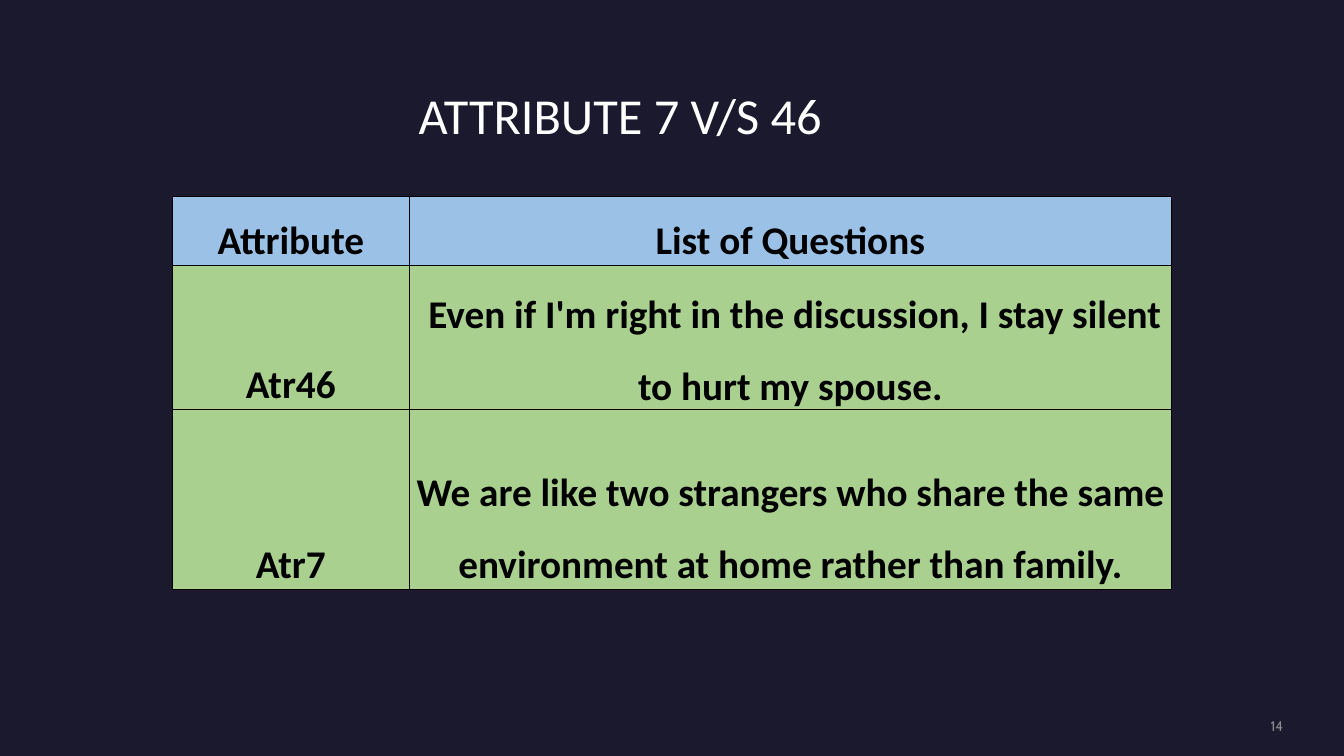
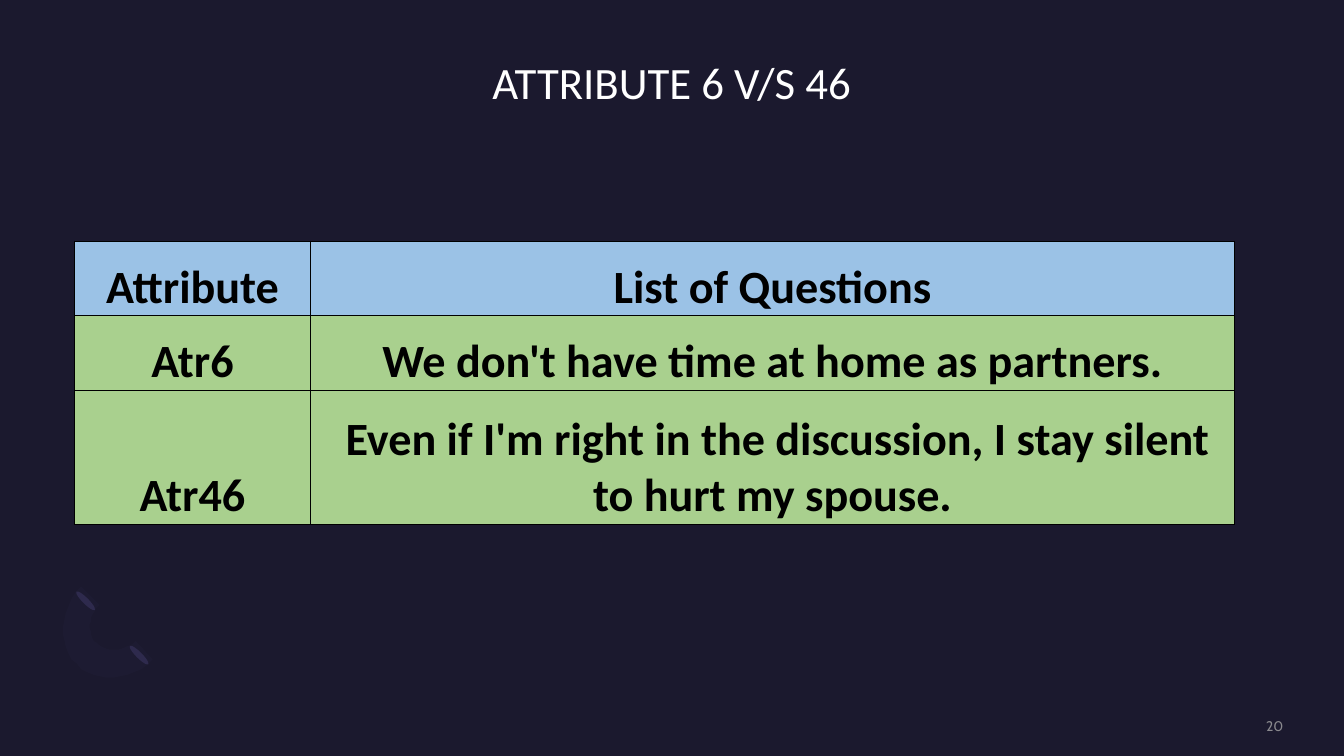
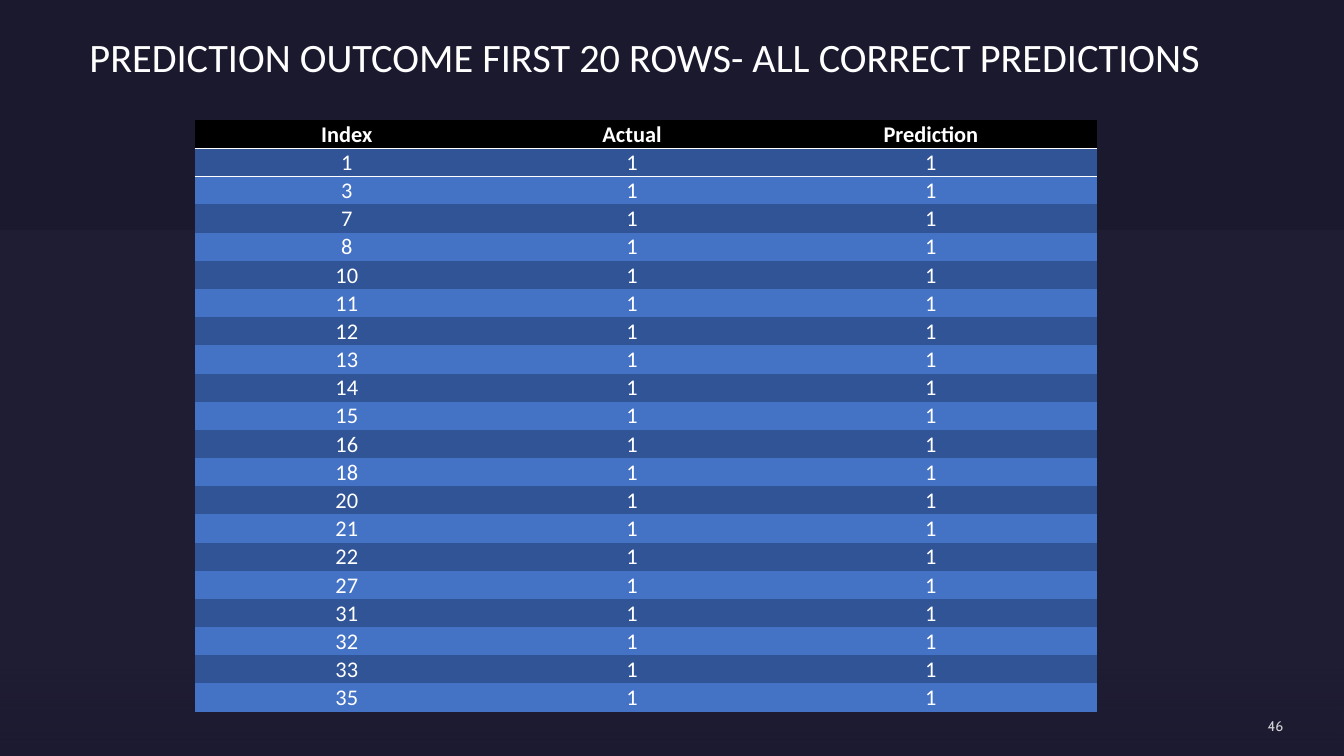
"""Builds three slides that compare survey attributes and list predictions."""
from lxml.etree import SubElement
from pptx import Presentation
from pptx.dml.color import RGBColor
from pptx.enum.shapes import MSO_SHAPE
from pptx.enum.text import MSO_ANCHOR, PP_ALIGN
from pptx.oxml.ns import qn
from pptx.util import Pt

WIDTH, HEIGHT = 960, 540
BACKGROUND, WHITE, BLACK, GREY = "1B192E", "FFFFFF", "000000", "A6A6A6"
LILAC, PETAL = "7771B2", "2C284A"
HEADER_BLUE, ROW_GREEN = "9BC2E6", "A9D08E"
DARK_BLUE, MID_BLUE = "305496", "4472C4"
BODY_FONT, NUMBER_FONT = "Calibri", "Cabin"
PLAIN_TABLE = "{2D5ABB26-0587-4C30-8999-92F81FD0307C}"
ALL_SIDES = ("L", "R", "T", "B")
HEADINGS = ["Attribute", "List of Questions"]
SILENT = " Even if I'm right in the discussion, I stay silent to hurt my spouse."
STRANGERS = ("We are like two strangers who share the same environment "
             "at home rather than family.")
INDEXES = [1, 3, 7, 8, 10, 11, 12, 13, 14, 15, 16, 18, 20, 21, 22, 27, 31, 32, 33, 35]


def color(code):
    return RGBColor.from_string(code)


def set_alpha(element, *percents):
    for tint, percent in zip(element.iter(qn("a:srgbClr")), percents):
        SubElement(tint, qn("a:alpha")).set("val", str(percent * 1000))


def style_text(frame, text, size, code, align, font=BODY_FONT, bold=False, spacing=None):
    frame.text = text
    para = frame.paragraphs[0]
    para.alignment = align
    para.line_spacing = spacing
    for span in para.runs:
        span.font.size = Pt(size)
        span.font.name = font
        span.font.bold = bold
        span.font.color.rgb = color(code)


def add_text(page, left, top, width, height, anchor):
    box = page.shapes.add_textbox(Pt(left), Pt(top), Pt(width), Pt(height))
    frame = box.text_frame
    frame.word_wrap = True
    frame.vertical_anchor = anchor
    frame.margin_left = frame.margin_right = frame.margin_top = frame.margin_bottom = 0
    return frame


def add_title(page, text, size, place, anchor=MSO_ANCHOR.MIDDLE):
    style_text(add_text(page, *place, anchor), text, size, WHITE,
               PP_ALIGN.CENTER, spacing=0.9)


def add_page_number(page, number, code=GREY):
    frame = add_text(page, 783.4, 512.6, 133.2, 12.2, MSO_ANCHOR.MIDDLE)
    style_text(frame, str(number), 10, code, PP_ALIGN.RIGHT, NUMBER_FONT)
    set_alpha(frame.paragraphs[0].runs[0].font._element, 80)


def finish_shape(shape, code, alpha=100):
    shape.shadow.inherit = False
    shape.line.fill.background()
    shape.fill.solid()
    shape.fill.fore_color.rgb = color(code)
    if alpha < 100:
        set_alpha(shape._element, alpha)


def add_shape(page, kind, left, top, width, height, code, alpha=100):
    shape = page.shapes.add_shape(kind, Pt(left), Pt(top), Pt(width), Pt(height))
    finish_shape(shape, code, alpha)
    return shape


def add_fade(page, top):
    band = add_shape(page, MSO_SHAPE.RECTANGLE, 0, top, WIDTH, HEIGHT - top, BACKGROUND)
    band.fill.gradient()
    band.fill.gradient_angle = 270
    for stop, position in zip(band.fill.gradient_stops, (0.28, 0.9)):
        stop.position = position
        stop.color.rgb = color(BACKGROUND)
    set_alpha(band._element, 0, 60)


def curve(start, first, second, end, steps=12):
    points = []
    for step in range(1, steps + 1):
        t = step / steps
        weights = ((1 - t) ** 3, 3 * t * (1 - t) ** 2, 3 * t * t * (1 - t), t ** 3)
        points.append(tuple(sum(weight * point[axis] for weight, point
                                in zip(weights, (start, first, second, end)))
                            for axis in (0, 1)))
    return points


def add_crescent(page):
    start, inner_start, inner_end = (54.7, 474.5), (71.3, 432), (97.2, 457.9)
    middle, tip = (69.1, 459.4), (109.4, 470.9)
    points = [*curve(start, (40.3, 460.1), (41.8, 435.6), (58.3, 419)), inner_start,
              *curve(inner_start, (62.6, 439.9), (61.9, 452.9), middle),
              *curve(middle, (76.3, 466.6), (88.6, 465.8), inner_end), tip,
              *curve(tip, (93.6, 486.7), (68.4, 488.9), start)]
    builder = page.shapes.build_freeform(*start, scale=Pt(1))
    builder.add_line_segments(points, close=True)
    finish_shape(builder.convert_to_shape(), LILAC, 3)


def add_border(cell, sides, code, weight):
    properties = cell._tc.get_or_add_tcPr()
    for side in sides:
        line = SubElement(properties, qn(f"a:ln{side}"), w=str(Pt(weight)))
        fill = SubElement(line, qn("a:solidFill"))
        SubElement(fill, qn("a:srgbClr"), val=code)


def add_table(page, left, top, widths, heights, rows, margin, fills, borders, text_style):
    graphic = page.shapes.add_table(len(rows), len(widths), Pt(left), Pt(top),
                                    Pt(sum(widths)), Pt(sum(heights)))
    next(graphic._element.iter(qn("a:tableStyleId"))).text = PLAIN_TABLE
    table = graphic.table
    table.first_row = table.horz_banding = False
    for column, width in zip(table.columns, widths):
        column.width = Pt(width)
    for index, (row, height, values) in enumerate(zip(table.rows, heights, rows)):
        row.height = Pt(height)
        for cell, value in zip(row.cells, values):
            cell.margin_left = cell.margin_right = cell.margin_top = Pt(margin)
            cell.margin_bottom = 0
            cell.vertical_anchor = MSO_ANCHOR.BOTTOM
            add_border(cell, *borders(index))
            cell.fill.solid()
            cell.fill.fore_color.rgb = color(fills(index))
            style_text(cell.text_frame, str(value), align=PP_ALIGN.CENTER,
                       **text_style(index))


def add_question_table(page, left, top, widths, heights, rows, margin, size, spacing=None):
    add_table(page, left, top, widths, heights, [HEADINGS, *rows], margin,
              lambda index: ROW_GREEN if index else HEADER_BLUE,
              lambda index: (ALL_SIDES, BLACK, 0.5),
              lambda index: {"size": size, "code": BLACK, "bold": True,
                             "spacing": spacing if index else None})


def add_prediction_table(page):
    rows = [["Index", "Actual", "Prediction"], *([index, 1, 1] for index in INDEXES)]
    add_table(page, 139, 85.7, [217.4, 190.1, 236.9], [20.15] * len(rows), rows, 0.7,
              lambda index: (DARK_BLUE if index % 2 else MID_BLUE) if index else BLACK,
              lambda index: ({0: "B", 1: "T"}.get(index, ""), WHITE, 1),
              lambda index: {"size": 16, "code": WHITE, "bold": index == 0})


def build_strangers_page(page):
    add_title(page, "ATTRIBUTE 7 V/S 46", 36, (79.2, 61.9, 727.9, 44.6))
    add_page_number(page, 14)
    add_question_table(page, 123.1, 140, [169.2, 544.3], [49.7, 89.3, 128.9],
                       [["Atr46", SILENT], ["Atr7", STRANGERS]], 1.5, 28, 1.5)


def build_partners_page(page):
    for left, top in ((97.2, 458.6), (59, 419.8)):
        add_shape(page, MSO_SHAPE.OVAL, left, top, 4.3, 18.7, PETAL).rotation = 135
    add_crescent(page)
    add_title(page, "ATTRIBUTE 6 V/S 46", 32, (43.2, 43.2, 873.4, 105.1), MSO_ANCHOR.TOP)
    add_page_number(page, 20)
    add_question_table(page, 53.3, 172.1, [168.5, 660.2], [53.3, 53.3, 95.8],
                       [["Atr6", "We don't have time at home as partners."],
                        ["Atr46", SILENT]], 2.2, 33)


def build_prediction_page(page):
    add_title(page, "PREDICTION OUTCOME FIRST 20 ROWS- ALL CORRECT PREDICTIONS", 28.8,
              (43.2, 22.3, 835.2, 41))
    add_shape(page, MSO_SHAPE.RECTANGLE, 0, 164.2, WIDTH, HEIGHT - 164.2, LILAC, 5)
    add_fade(page, 454.3)
    add_page_number(page, 46, WHITE)
    add_prediction_table(page)


def main():
    deck = Presentation()
    deck.slide_width, deck.slide_height = Pt(WIDTH), Pt(HEIGHT)
    backdrop = deck.slide_master.background.fill
    backdrop.solid()
    backdrop.fore_color.rgb = color(BACKGROUND)
    for build in (build_strangers_page, build_partners_page, build_prediction_page):
        build(deck.slides.add_slide(deck.slide_layouts[6]))
    deck.save("out.pptx")


if __name__ == "__main__":
    main()
